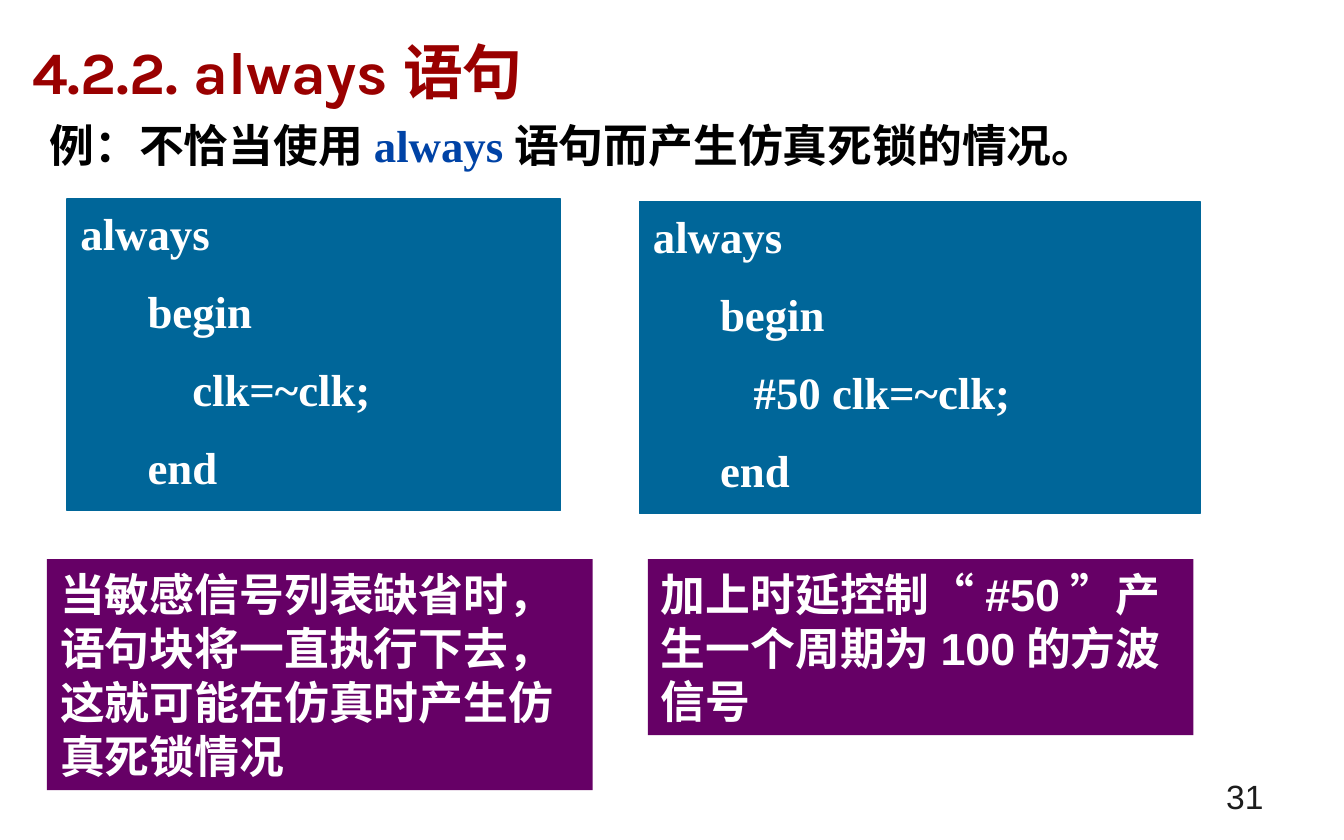
from pptx import Presentation
from pptx import util as u
from pptx.dml.color import RGBColor
from pptx.enum import shapes, text

PX = 9144  # 100 px to the inch


def color(hex_code):
    return RGBColor.from_string(hex_code)


def write(box, lines, font, size, ink, bold=True, gap=0):
    """Fill a box with left-aligned paragraphs in one style."""
    frame = box.text_frame
    frame.word_wrap = True
    frame.text = "\n".join(lines)
    for index, para in enumerate(frame.paragraphs):
        para.alignment = text.PP_ALIGN.LEFT
        if index:
            para.space_before = u.Pt(gap)
        for span in para.runs:
            span.font.name = font
            span.font.size = u.Pt(size)
            span.font.bold = bold
            span.font.color.rgb = color(ink)
    return frame


deck = Presentation()
deck.slide_width, deck.slide_height = 1000 * PX, 625 * PX
page = deck.slides.add_slide(deck.slide_layouts[6])

# Title
title = page.shapes.add_textbox(14 * PX, 21 * PX, 850 * PX, 56 * PX)
write(title, ["4.2.2. always语句"], "Karla", 32, "990000")

# Example sentence with the keyword in blue
example = page.shapes.add_textbox(27 * PX, 83 * PX, 925 * PX, 50 * PX)
para = example.text_frame.paragraphs[0]
example.text_frame.word_wrap = True
for words, ink in [("例：不恰当使用", "000000"), ("always", "0043A6"),
                   ("语句而产生仿真死锁的情况。", "000000")]:
    span = para.add_run()
    span.text = words
    span.font.name = "Times New Roman"
    span.font.size = u.Pt(24)
    span.font.bold = True
    span.font.color.rgb = color(ink)

# Code panels and the explanations below them
CODE, NOTE = "006699", "660066"
panels = [
    (50, 148, 367, 232, CODE, ["always", "\tbegin", "\t    clk=~clk;", "\tend"]),
    (476, 150, 417, 232, CODE, ["always", "\tbegin", "\t   #50 clk=~clk;", "\tend"]),
    (482, 416, 406, 131, NOTE, ["加上时延控制“#50”产生一个周期为100的方波信号"]),
    (35, 416, 406, 172, NOTE,
     ["当敏感信号列表缺省时，语句块将一直执行下去，这就可能在仿真时产生仿真死锁情况"]),
]
for left, top, width, height, fill, lines in panels:
    panel = page.shapes.add_shape(shapes.MSO_SHAPE.RECTANGLE, left * PX, top * PX,
                                  width * PX, height * PX)
    panel.shadow.inherit = False
    panel.fill.solid()
    panel.fill.fore_color.rgb = color(fill)
    if fill == CODE:
        panel.line.color.rgb = color(CODE)
        panel.line.width = u.Pt(0.75)
        frame = write(panel, lines, "Times New Roman", 24, "FFFFFF", gap=13)
        frame.vertical_anchor = text.MSO_ANCHOR.TOP
    else:
        panel.line.fill.background()
        frame = write(panel, lines, "Arial", 24, "FFFFFF")
        frame.vertical_anchor = text.MSO_ANCHOR.MIDDLE

# Page number
number = page.shapes.add_textbox(717 * PX, 569 * PX, 233 * PX, 43 * PX)
frame = write(number, ["31"], "Arial", 18, "1C1C1C", bold=False)
frame.vertical_anchor = text.MSO_ANCHOR.BOTTOM
frame.paragraphs[0].alignment = text.PP_ALIGN.RIGHT

deck.save("out.pptx")
